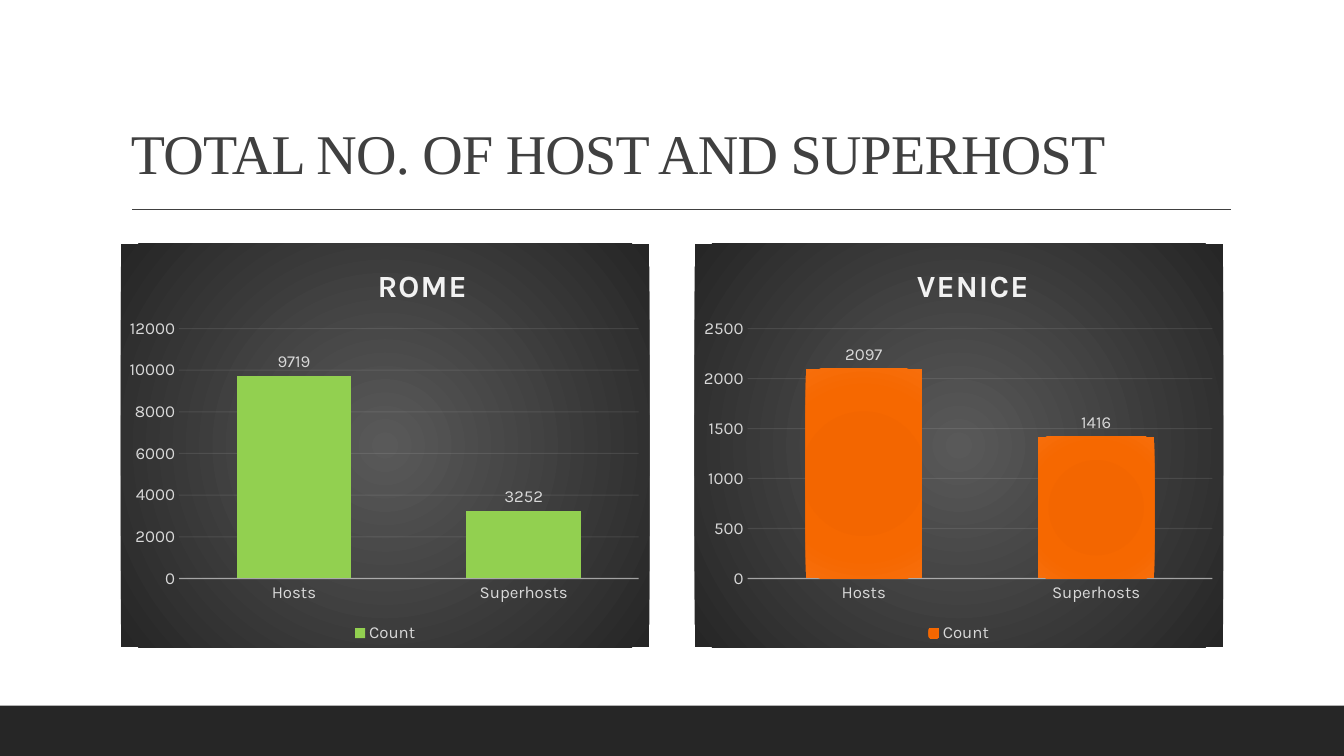
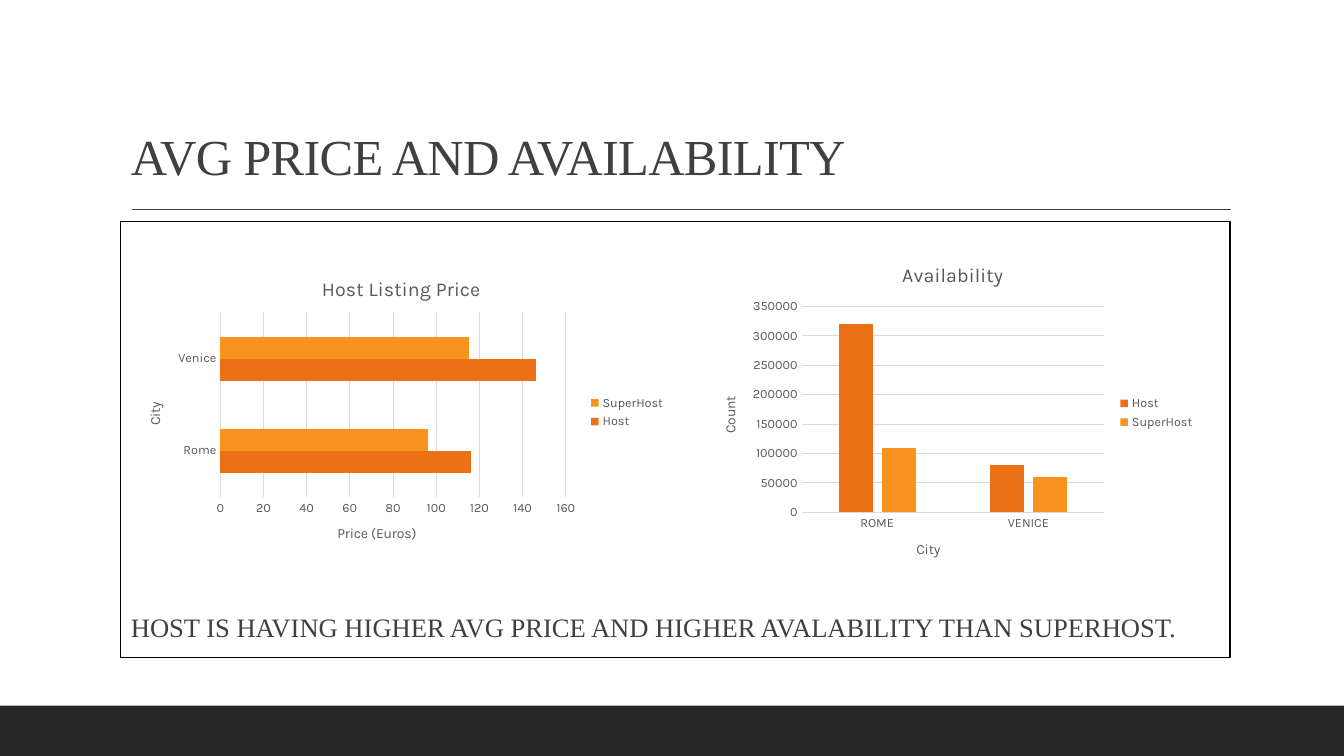
"""Build two slides comparing hosts and superhosts in Rome and Venice."""
from pptx import Presentation
from pptx.chart.data import CategoryChartData
from pptx.dml.color import RGBColor
from pptx.enum.chart import XL_CHART_TYPE as ChartType, XL_LABEL_POSITION as LabelPosition
from pptx.enum.chart import XL_LEGEND_POSITION as LegendPosition, XL_TICK_MARK as TickMark
from pptx.enum.shapes import MSO_CONNECTOR as Connector, MSO_SHAPE as Shape
from pptx.enum.text import MSO_ANCHOR as Anchor
from pptx.oxml import parse_xml
from pptx.oxml.ns import nsdecls, qn
from pptx.util import Inches, Pt

BLACK = RGBColor(0x00, 0x00, 0x00)
BAND = RGBColor(0x26, 0x26, 0x26)
INK = RGBColor(0x40, 0x40, 0x40)
GREY = RGBColor(0x59, 0x59, 0x59)
PALE = RGBColor(0xD9, 0xD9, 0xD9)
NEAR_WHITE = RGBColor(0xF2, 0xF2, 0xF2)
GREEN = RGBColor(0x92, 0xD0, 0x50)
ORANGE = RGBColor(0xEC, 0x70, 0x16)
AMBER = RGBColor(0xF8, 0x93, 0x1D)

SERIF, SANS = "Times New Roman", "Karla"
PANEL_STOPS = [(0, GREY), (100, BAND)]
VENICE_STOPS = [(0, "F06500"), (34, "F36600"), (70, "F66800"), (100, "F76E0B")]

DARK = dict(text=PALE, size=12, title_color=NEAR_WHITE, title_size=22, bold=True, spacing=100,
            axis=(NEAR_WHITE, 1, 54), grid=(NEAR_WHITE, 0.75, 10), gap=100,
            legend=LegendPosition.BOTTOM, panel=PANEL_STOPS, labels=True)
LIGHT = dict(text=GREY, size=9, title_color=GREY, title_size=14, bold=False, spacing=0,
             axis=(PALE, 0.75, 100), grid=(PALE, 0.75, 100), gap=219,
             legend=LegendPosition.RIGHT, panel=None, labels=False)

COUNT_CATEGORIES = ["Hosts", "Superhosts"]
SLIDES = [
    dict(title="TOTAL NO. OF HOST AND SUPERHOST", size=40, charts=[
        dict(style=DARK, title="ROME", title_at=(0.475, 0.04), box=(1.2, 2.42, 5.24, 4),
             plot=(0.11, 0.21, 0.87, 0.62), scale=(12000, 2000), overlap=-24,
             categories=COUNT_CATEGORIES, series=[("Count", [9719, 3252], GREEN)]),
        dict(style=DARK, title="VENICE", title_at=(0.41, 0.04), box=(6.89, 2.42, 5.24, 4),
             plot=(0.1, 0.21, 0.88, 0.62), scale=(2500, 500), overlap=-24,
             categories=COUNT_CATEGORIES, series=[("Count", [2097, 1416], VENICE_STOPS)]),
    ]),
    dict(title="AVG PRICE AND AVAILABILITY", size=36,
         note="HOST IS HAVING HIGHER AVG PRICE AND HIGHER AVALABILITY THAN SUPERHOST.", charts=[
             dict(style=LIGHT, title="Host Listing Price", box=(1.26, 2.59, 5.44, 3),
                  kind=ChartType.BAR_CLUSTERED, plot=(0.17, 0.17, 0.63, 0.61), scale=(160, 20),
                  overlap=0, axis_titles=("City", "Price (Euros)"), categories=["Rome", "Venice"],
                  series=[("Host", [116, 146], ORANGE), ("SuperHost", [96, 115], AMBER)]),
             dict(style=LIGHT, title="Availability", box=(6.95, 2.45, 5, 3.29),
                  plot=(0.2, 0.18, 0.6, 0.62), scale=(350000, 50000), overlap=-27,
                  axis_titles=("City", "Count"), categories=["ROME", "VENICE"],
                  series=[("Host", [320000, 80000], ORANGE),
                          ("SuperHost", [110000, 60000], AMBER)]),
         ]),
]


def radial_fill(stops, focus):
    stop_xml = "".join(f'<a:gs pos="{position * 1000}"><a:srgbClr val="{color}"/></a:gs>'
                       for position, color in stops)
    edge = focus * 1000
    return (f'<a:gradFill {nsdecls("a")}><a:gsLst>{stop_xml}</a:gsLst><a:path path="circle">'
            f'<a:fillToRect l="{edge}" t="{edge}" r="{edge}" b="{edge}"/></a:path></a:gradFill>')


def set_layout(parent, index, fractions, inner=False):
    for layout in parent.findall(qn("c:layout")):
        parent.remove(layout)
    target = '<c:layoutTarget val="inner"/>' if inner else ""
    modes = '<c:xMode val="edge"/><c:yMode val="edge"/>'
    values = "".join(f'<c:{key} val="{value}"/>' for key, value in zip("xywh", fractions))
    parent.insert(index, parse_xml(f'<c:layout {nsdecls("c")}><c:manualLayout>{target}{modes}'
                                   f'{values}</c:manualLayout></c:layout>'))


def set_font(font, size, color, name=SANS, bold=False):
    font.name, font.size, font.bold = name, Pt(size), bold
    font.color.rgb = color


def set_line(line, color, width, opacity, element):
    line.color.rgb = color
    line.width = Pt(width)
    if opacity < 100:
        color_element = element.find(".//" + qn("a:srgbClr"))
        color_element.append(parse_xml(f'<a:alpha {nsdecls("a")} val="{opacity * 1000}"/>'))


def set_title(title, text, size, color, bold=False, spacing=0):
    paragraph = title.text_frame.paragraphs[0]
    run = paragraph.add_run()
    run.text = text
    set_font(paragraph.font, size, color, bold=bold)
    set_font(run.font, size, color, bold=bold)
    if spacing:
        run.font._element.set("spc", str(spacing))


def style_axes(chart, spec, style):
    category_axis, value_axis = chart.category_axis, chart.value_axis
    for axis in (category_axis, value_axis):
        axis.major_tick_mark = axis.minor_tick_mark = TickMark.NONE
        set_font(axis.tick_labels.font, style["size"], style["text"])
    category_axis.has_major_gridlines = False
    category_line = category_axis.format.line
    set_line(category_line, *style["axis"], category_axis._element.find(qn("c:spPr")))
    value_axis.has_major_gridlines = True
    set_line(value_axis.major_gridlines.format.line, *style["grid"],
             value_axis._element.find(qn("c:majorGridlines")))
    value_axis.format.line.fill.background()
    value_axis.minimum_scale = 0
    value_axis.maximum_scale, value_axis.major_unit = spec["scale"]
    upright = category_axis if spec.get("kind") == ChartType.BAR_CLUSTERED else value_axis
    for axis, text in zip((category_axis, value_axis), spec.get("axis_titles", ())):
        set_title(axis.axis_title, text, 10, style["text"])
        if axis is upright:
            axis.axis_title._element.find(".//" + qn("a:bodyPr")).set("rot", "-5400000")


def style_series(plot, spec, style):
    plot.vary_by_categories = False
    plot.gap_width, plot.overlap = style["gap"], spec["overlap"]
    for series, (_, _, color) in zip(plot.series, spec["series"]):
        series.invert_if_negative = False
        if isinstance(color, RGBColor):
            series.format.fill.solid()
            series.format.fill.fore_color.rgb = color
        else:
            series._element.get_or_add_spPr().insert(0, parse_xml(radial_fill(color, 100)))
    if style["labels"]:
        plot.has_data_labels = True
        labels = plot.data_labels
        labels.show_value = True
        labels.position = LabelPosition.OUTSIDE_END
        set_font(labels.font, style["size"], style["text"])


def add_chart(slide, spec):
    style = spec["style"]
    data = CategoryChartData()
    data.categories = spec["categories"]
    for name, values, _ in spec["series"]:
        data.add_series(name, values)
    kind = spec.get("kind", ChartType.COLUMN_CLUSTERED)
    chart = slide.shapes.add_chart(kind, *map(Inches, spec["box"]), data).chart
    set_font(chart.font, 10, BLACK)
    chart.has_title = True
    set_title(chart.chart_title, spec["title"], style["title_size"], style["title_color"],
              style["bold"], style["spacing"])
    if "title_at" in spec:
        set_layout(chart.chart_title._element, 1, spec["title_at"])
    chart.has_legend = True
    chart.legend.position = style["legend"]
    chart.legend.include_in_layout = False
    set_font(chart.legend.font, style["size"], style["text"])
    style_axes(chart, spec, style)
    style_series(chart.plots[0], spec, style)
    chart_element = chart._chartSpace.find(qn("c:chart"))
    set_layout(chart_element.find(qn("c:plotArea")), 0, spec["plot"], inner=True)
    fill = radial_fill(style["panel"], 50) if style["panel"] else "<a:noFill/>"
    chart_element.addnext(parse_xml(f'<c:spPr {nsdecls("c", "a")}>{fill}'
                                    '<a:ln><a:noFill/></a:ln></c:spPr>'))


def add_frame(slide, title, size):
    band = slide.shapes.add_shape(Shape.RECTANGLE, 0, Inches(7), Inches(13.33), Inches(0.5))
    band.shadow.inherit = False
    band.fill.solid()
    band.fill.fore_color.rgb = BAND
    band.line.fill.background()
    rule = slide.shapes.add_connector(Connector.STRAIGHT, Inches(1.31), Inches(2.08),
                                      Inches(12.21), Inches(2.08))
    rule.line.color.rgb = INK
    rule.line.width = Pt(1)
    rule._element.spPr.append(parse_xml(f'<a:effectLst {nsdecls("a")}/>'))
    box = slide.shapes.add_textbox(Inches(1.2), Inches(0.31), Inches(11), Inches(1.59))
    write_line(box.text_frame, title, size, 0.9).font._element.set("spc", "-50")


def write_line(frame, text, size, spacing):
    frame.word_wrap = True
    frame.vertical_anchor = Anchor.BOTTOM
    paragraph = frame.paragraphs[0]
    paragraph.line_spacing = spacing
    run = paragraph.add_run()
    run.text = text
    set_font(paragraph.font, size, INK, SERIF)
    set_font(run.font, size, INK, SERIF)
    return run


def add_note(slide, text):
    box = slide.shapes.add_textbox(Inches(1.2), Inches(2.2), Inches(11), Inches(4.32))
    box.line.color.rgb = BLACK
    box.line.width = Pt(0.75)
    box.text_frame.margin_bottom = Inches(0.14)
    write_line(box.text_frame, text, 19, 1.1)


def main():
    presentation = Presentation()
    presentation.slide_width, presentation.slide_height = Inches(13.33), Inches(7.5)
    for content in SLIDES:
        slide = presentation.slides.add_slide(presentation.slide_layouts[6])
        add_frame(slide, content["title"], content["size"])
        if "note" in content:
            add_note(slide, content["note"])
        for spec in content["charts"]:
            add_chart(slide, spec)
    presentation.save("out.pptx")


if __name__ == "__main__":
    main()
